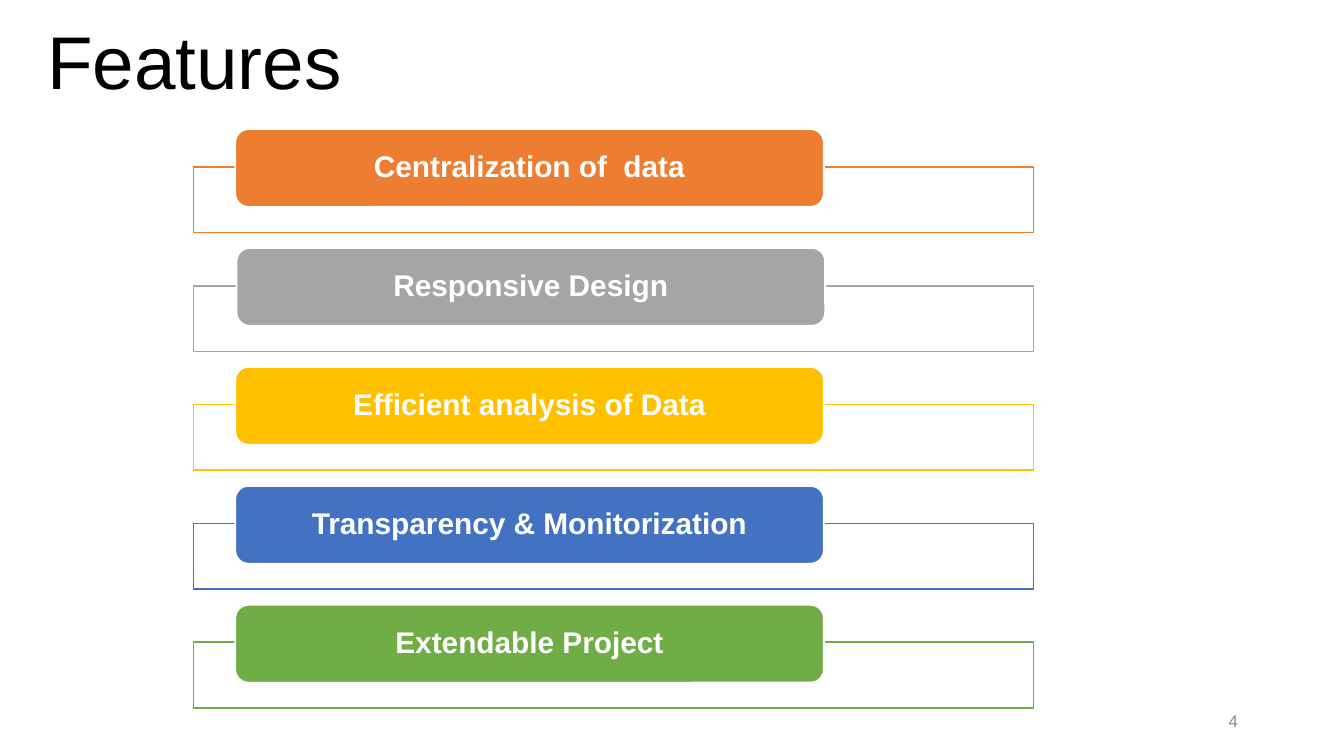
from lxml import etree
from pptx import Presentation
from pptx.dml.color import RGBColor
from pptx.enum.shapes import MSO_SHAPE as SHAPE
from pptx.enum.text import MSO_ANCHOR as ANCHOR, MSO_AUTO_SIZE as AUTO_SIZE, PP_ALIGN as ALIGN
from pptx.oxml.ns import qn
from pptx.util import Inches, Pt

COLORS = {
    "white": "FFFFFF",
    "black": "000000",
    "number": "888888",
    "orange": "ED7D31",
    "gray": "A5A5A5",
    "yellow": "FFC000",
    "blue": "4372C3",
    "green": "70AD47",
}
FEATURES = [
    ("Centralization of  data", "orange", 1.75),
    ("Responsive Design", "gray", 1.76),
    ("Efficient analysis of Data", "yellow", 1.75),
    ("Transparency & Monitorization", "blue", 1.75),
    ("Extendable Project", "green", 1.75),
]
FIRST_TOP, LAST_TOP = 0.96, 4.5
PITCH = (LAST_TOP - FIRST_TOP) / (len(FEATURES) - 1)
FRAME_DROP = 0.28


def write(frame, text, size, color, align, anchor, bold=False):
    frame.text = text
    frame.word_wrap = True
    frame.auto_size = AUTO_SIZE.NONE
    frame.vertical_anchor = anchor
    paragraph = frame.paragraphs[0]
    paragraph.alignment = align
    font = paragraph.runs[0].font
    font.name = "Arial"
    font.size = Pt(size)
    font.bold = bold
    font.color.rgb = RGBColor.from_string(COLORS[color])
    return paragraph


def add_box(kind, left, top, width, height, fill, line):
    box = slide.shapes.add_shape(kind, Inches(left), Inches(top), Inches(width), Inches(height))
    box.shadow.inherit = False
    box.fill.solid()
    box.fill.fore_color.rgb = RGBColor.from_string(COLORS[fill])
    box.line.color.rgb = RGBColor.from_string(COLORS[line])
    box.line.width = Pt(1)
    return box


prs = Presentation()
prs.slide_width, prs.slide_height = Inches(10), Inches(10 * 9 / 16)
slide = prs.slides.add_slide(prs.slide_layouts[5])

title = slide.shapes.title
title.left, title.top = Inches(0.25), Inches(0.06)
title.width, title.height = Inches(5.89), Inches(0.77)
heading = write(title.text_frame, "Features", 40, "black", ALIGN.LEFT, ANCHOR.TOP)
heading.space_before = Pt(4)

number = slide.shapes.add_textbox(Inches(7.06), Inches(5.21), Inches(2.25), Inches(0.3))
write(number.text_frame, "4", 9, "number", ALIGN.RIGHT, ANCHOR.MIDDLE)

for row, (feature, color, left) in enumerate(FEATURES):
    top = FIRST_TOP + row * PITCH
    outline = add_box(SHAPE.RECTANGLE, 1.44, top + FRAME_DROP, 6.25, 0.49, "white", color)
    white_fill = outline.fill._xPr.find(qn("a:solidFill"))[0]
    etree.SubElement(white_fill, qn("a:alpha")).set("val", "90000")

    label = add_box(SHAPE.ROUNDED_RECTANGLE, left, top, 4.38, 0.58, color, "white")
    label.adjustments[0] = 0.17
    frame = label.text_frame
    frame.margin_left = frame.margin_right = Inches(0.16)
    frame.margin_top = frame.margin_bottom = 0
    caption = write(frame, feature, 16, "white", ALIGN.CENTER, ANCHOR.MIDDLE, bold=True)
    caption.line_spacing = 0.9

prs.save("out.pptx")
